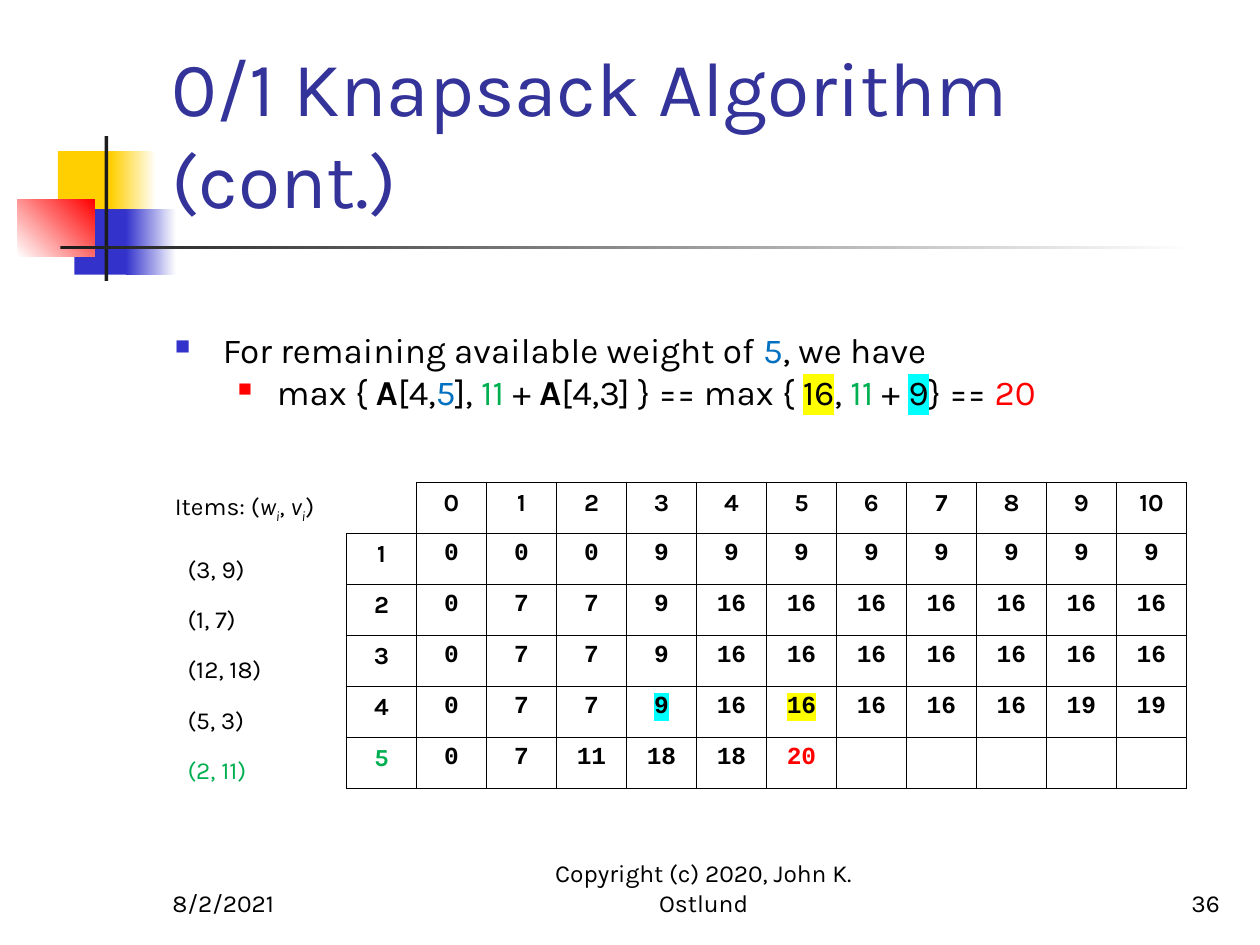
from dataclasses import dataclass

from lxml.etree import SubElement
from pptx import Presentation
from pptx.dml.color import RGBColor
from pptx.enum.shapes import MSO_SHAPE
from pptx.enum.text import MSO_ANCHOR, PP_ALIGN
from pptx.oxml.ns import qn
from pptx.util import Inches, Pt


@dataclass(frozen=True)
class Theme:
    font: str = "Karla"
    mono: str = "Courier New"
    title_size: int = 44
    body_size: int = 20
    small_size: int = 14
    title: str = "333399"
    text: str = "000000"
    dark: str = "1C1C1C"
    white: str = "FFFFFF"
    gold: str = "FFCF01"
    indigo: str = "3333CC"
    red: str = "FF0000"
    blue: str = "0070C0"
    green: str = "00B050"
    yellow: str = "FFFF00"
    cyan: str = "00FFFF"


T = Theme()

MAX_VALUES = [
    [0, 0, 0] + [9] * 8,
    [0, 7, 7, 9] + [16] * 7,
    [0, 7, 7, 9] + [16] * 7,
    [0, 7, 7, 9] + [16] * 5 + [19, 19],
    [0, 7, 11, 18, 18, 20],
]
ITEMS = ["(3, 9)", "(1, 7)", "(12, 18)", "(5, 3)", "(2, 11)"]


def add_run(p, text, size, color=T.text, font=T.font, bold=False, italic=False,
            highlight=None, subscript=False):
    r = p.add_run()
    r.text = text
    r.font.size = Pt(size)
    r.font.bold = bold
    r.font.italic = italic
    r.font.color.rgb = RGBColor.from_string(color)
    r.font.name = font
    rPr = r.font._element
    if highlight:
        mark = SubElement(rPr, qn("a:highlight"))
        SubElement(mark, qn("a:srgbClr"), val=highlight)
        rPr.find(qn("a:solidFill")).addnext(mark)
    if subscript:
        rPr.set("baseline", "-25000")


def add_text_box(s, left, top, width, height, anchor=MSO_ANCHOR.TOP):
    tf = s.shapes.add_textbox(Inches(left), Inches(top), Inches(width), Inches(height)).text_frame
    tf.word_wrap = True
    tf.vertical_anchor = anchor
    return tf


def add_label(s, box, text, size, color=T.text, align=PP_ALIGN.LEFT):
    """Add one line of text that sits on the bottom of its box."""
    p = add_text_box(s, *box, anchor=MSO_ANCHOR.BOTTOM).paragraphs[0]
    p.alignment = align
    add_run(p, text, size, color)


def add_block(s, box, start, end=None, angle=0):
    """Add a borderless rectangle, plain or fading from start to end."""
    sp = s.shapes.add_shape(MSO_SHAPE.RECTANGLE, *map(Inches, box))
    sp.shadow.inherit = False
    sp.line.fill.background()
    if end is None:
        sp.fill.solid()
        sp.fill.fore_color.rgb = RGBColor.from_string(start)
        return
    sp.fill.gradient()
    sp.fill.gradient_angle = angle
    for stop, color in zip(sp.fill.gradient_stops, (start, end)):
        stop.color.rgb = RGBColor.from_string(color)


def set_bullet(p, margin, hanging, color, percent):
    pPr = p._p.get_or_add_pPr()
    pPr.set("marL", str(Inches(margin)))
    pPr.set("indent", str(-Inches(hanging)))
    SubElement(SubElement(pPr, qn("a:buClr")), qn("a:srgbClr"), val=color)
    SubElement(pPr, qn("a:buSzPct"), val=str(percent * 1000))
    SubElement(pPr, qn("a:buChar"), char="■")


def set_borders(cell, sides):
    """Draw the named sides of a cell and clear the others."""
    tcPr = cell._tc.get_or_add_tcPr()
    for i, side in enumerate("LRTB"):
        ln = SubElement(tcPr, qn(f"a:ln{side}"), w=str(Pt(1)))
        if side in sides:
            SubElement(SubElement(ln, qn("a:solidFill")), qn("a:srgbClr"), val=T.text)
        else:
            SubElement(ln, qn("a:noFill"))
        tcPr.insert(i, ln)


def add_decoration(s):
    add_block(s, (0.46, 1.2, 0.48, 0.52), T.gold)
    add_block(s, (0.88, 1.2, 0.36, 0.52), T.gold, T.white)
    add_block(s, (0.59, 1.66, 0.46, 0.52), T.indigo)
    add_block(s, (1, 1.66, 0.4, 0.52), T.indigo, T.white)
    add_block(s, (0.14, 1.58, 0.61, 0.46), T.white, T.red, angle=45)
    add_block(s, (0.83, 1.08, 0.03, 1.15), T.dark)
    add_block(s, (0.48, 1.95, 9, 0.03), T.dark, T.white)


def add_explanation(s):
    tf = add_text_box(s, 1.29, 2.56, 8.5, 0.8)
    p = tf.paragraphs[0]
    set_bullet(p, 0.38, 0.38, T.indigo, 60)
    for text, color in (("For remaining available weight of ", T.text), ("5", T.blue),
                        (", we have", T.text)):
        add_run(p, text, T.body_size, color)
    p = tf.add_paragraph()
    p.level = 1
    set_bullet(p, 0.81, 0.31, T.red, 55)
    bold, blue, green = {"bold": True}, {"color": T.blue}, {"color": T.green}
    for text, style in (
        ("max { ", {}), ("A", bold), ("[4,", {}), ("5", blue), ("], ", {}), ("11", green),
        (" + ", {}), ("A", bold), ("[4,3] } == max { ", {}), ("16", {"highlight": T.yellow}),
        (", ", {}), ("11", green), (" + ", {}), ("9", {"highlight": T.cyan}),
        ("} == ", {}), ("20", {"color": T.red}),
    ):
        add_run(p, text, T.body_size, **style)


def add_items(s):
    tf = add_text_box(s, 1.29, 3.85, 1.4, 2.45)
    p = tf.paragraphs[0]
    add_run(p, "Items: (", T.small_size)
    for variable, after in (("w", ", "), ("v", ")")):
        add_run(p, variable, T.small_size, italic=True)
        add_run(p, "i", T.small_size, italic=True, subscript=True)
        add_run(p, after, T.small_size)
    for i, item in enumerate(ITEMS):
        p = tf.add_paragraph()
        p._p.get_or_add_pPr().set("marL", str(Inches(0.1)))
        p.space_before = Pt(12 if i else 16.5)
        add_run(p, item, T.small_size, T.green if item == ITEMS[-1] else T.text)


def add_value_table(s):
    header = [""] + list(range(11))
    rows = [header] + [[i] + values for i, values in enumerate(MAX_VALUES, 1)]
    styles = {(4, 4): {"highlight": T.cyan}, (4, 6): {"highlight": T.yellow},
              (5, 0): {"color": T.green}, (5, 6): {"color": T.red}}
    table = s.shapes.add_table(len(rows), len(header), Inches(2.75), Inches(3.83),
                               Inches(6.67), Inches(2.43)).table
    table.first_row = table.horz_banding = False
    for i, values in enumerate(rows):
        for j in range(len(header)):
            cell = table.cell(i, j)
            cell.fill.background()
            set_borders(cell, "LRTB" if i or j else "RB")
            p = cell.text_frame.paragraphs[0]
            p.alignment = PP_ALIGN.CENTER
            if j < len(values) and values[j] != "":
                add_run(p, str(values[j]), T.small_size, bold=True,
                        font=T.mono if i and j else T.font, **styles.get((i, j), {}))


def add_footer(s):
    for left, width, text, align in (
        (1.27, 2.08, "8/2/2021", PP_ALIGN.LEFT),
        (4, 3.17, "Copyright (c) 2020, John K. Ostlund", PP_ALIGN.CENTER),
        (7.7, 2.08, "36", PP_ALIGN.RIGHT),
    ):
        add_label(s, (left, 6.83, width, 0.5), text, T.small_size, align=align)


def main():
    prs = Presentation()
    prs.slide_width, prs.slide_height = Inches(10), Inches(7.5)
    s = prs.slides.add_slide(prs.slide_layouts[6])
    add_decoration(s)
    add_label(s, (1.26, 0.23, 8.52, 1.6), "0/1 Knapsack Algorithm (cont.)", T.title_size, T.title)
    add_explanation(s)
    add_items(s)
    add_value_table(s)
    add_footer(s)
    prs.save("out.pptx")


if __name__ == "__main__":
    main()
